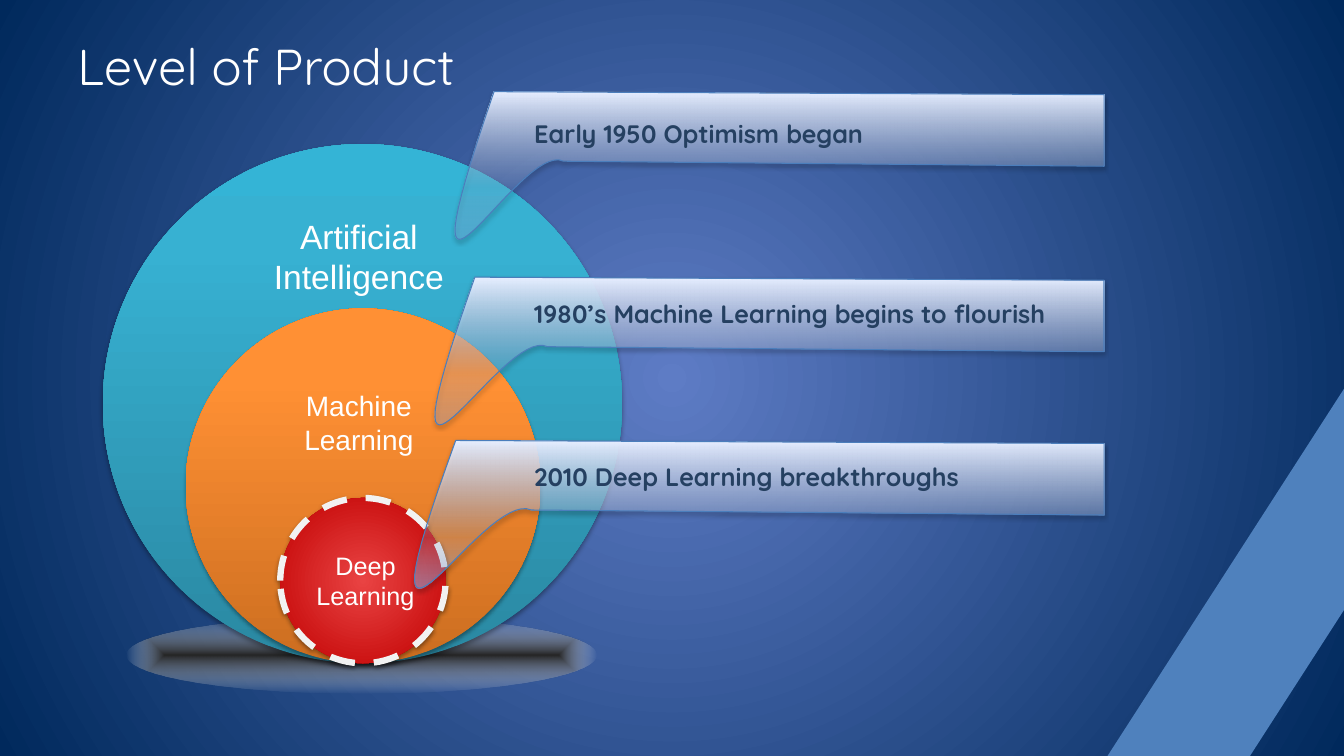
from typing import NamedTuple

from lxml.etree import SubElement
from pptx import Presentation
from pptx.dml.color import RGBColor
from pptx.enum.dml import MSO_LINE
from pptx.enum.shapes import MSO_SHAPE
from pptx.enum.text import MSO_ANCHOR, MSO_AUTO_SIZE, PP_ALIGN
from pptx.oxml.ns import qn
from pptx.util import Pt

EMU_PER_PX = 9144
CURVE_STEPS = 32

WHITE = RGBColor(0xFF, 0xFF, 0xFF)
BLACK = RGBColor(0x00, 0x00, 0x00)
CHARCOAL = RGBColor(0x26, 0x26, 0x26)
SKY = RGBColor(0x5E, 0x7C, 0xC5)
NAVY = RGBColor(0x00, 0x29, 0x5C)
DASH_GREY = RGBColor(0xF2, 0xF2, 0xF2)
CALLOUT_LINE = RGBColor(0x4B, 0x7E, 0xBC)
CALLOUT_LOW = RGBColor(0xA4, 0xC4, 0xFF)
CALLOUT_MID = RGBColor(0xBF, 0xD4, 0xFF)
CALLOUT_TOP = RGBColor(0xE6, 0xEE, 0xFF)
CALLOUT_TEXT = RGBColor(0x25, 0x40, 0x61)
BAND_BLUE = RGBColor(0x4F, 0x81, 0xBD)


class Box(NamedTuple):
    left: int
    top: int
    width: int
    height: int


class Stop(NamedTuple):
    position: int
    color: RGBColor
    opacity: int = 100


class Circle(NamedTuple):
    box: Box
    stops: list[Stop]
    path_kind: str | None
    shadow_opacity: int
    shadow_distance: float
    dashed: bool = False


class Label(NamedTuple):
    text: str
    box: Box
    size: int
    font: str = "Arial"
    color: RGBColor = WHITE
    bold: bool = False
    align: PP_ALIGN = PP_ALIGN.CENTER


class Callout(NamedTuple):
    text: str
    text_top: int
    left: int
    top: int
    neck: int
    first_control: int
    second_control: int
    low_opacity: int
    mid_opacity: int


CIRCLES = [
    Circle(Box(102, 143, 515, 515),
           [Stop(0, RGBColor(0x2A, 0x88, 0xA2)), Stop(80, RGBColor(0x37, 0xB1, 0xD2)),
            Stop(100, RGBColor(0x34, 0xB4, 0xD6))], None, 35, 1.8),
    Circle(Box(184, 306, 352, 352),
           [Stop(0, RGBColor(0xCC, 0x6E, 0x20)), Stop(80, RGBColor(0xFF, 0x90, 0x34)),
            Stop(100, RGBColor(0xFF, 0x91, 0x36))], None, 35, 1.8),
    Circle(Box(278, 494, 164, 164),
           [Stop(0, RGBColor(0xE9, 0x43, 0x43)), Stop(100, RGBColor(0xC0, 0x00, 0x00))],
           "circle", 38, 1.6, True),
]
TITLE = Label("Level of Product", Box(67, 17, 1200, 95), 36, "Quicksand", align=PP_ALIGN.LEFT)
LABELS = [
    Label("Artificial Intelligence", Box(238, 209, 236, 91), 24),
    Label("Machine Learning", Box(238, 381, 236, 77), 20),
    Label("Deep Learning", Box(274, 541, 177, 71), 18),
]
CALLOUTS = [
    Callout("Early 1950 Optimism began", 112, 490, 91, 559, 515, 388, 28, 15),
    Callout("1980’s Machine Learning begins to flourish", 291, 471, 275, 543, 498, 366, 29, 16),
    Callout("2010 Deep Learning breakthroughs", 453, 452, 437, 527, 479, 344, 49, 16),
]


def px(length: int) -> int:
    return length * EMU_PER_PX


def set_gradient(owner, fill, stops: list[Stop], path_kind: str | None = None) -> None:
    fill.solid()
    solid = next(owner.iter(qn("a:solidFill")))
    gradient = SubElement(solid.getparent(), qn("a:gradFill"), rotWithShape="1")
    stop_list = SubElement(gradient, qn("a:gsLst"))
    for stop in stops:
        entry = SubElement(stop_list, qn("a:gs"), pos=str(stop.position * 1000))
        color = SubElement(entry, qn("a:srgbClr"), val=str(stop.color))
        if stop.opacity < 100:
            SubElement(color, qn("a:alpha"), val=str(stop.opacity * 1000))
    if path_kind:
        path_element = SubElement(gradient, qn("a:path"), {"path": path_kind})
        SubElement(path_element, qn("a:fillToRect"), dict.fromkeys("ltrb", "50000"))
    else:
        SubElement(gradient, qn("a:lin"), ang="16200000", scaled="0")
    solid.getparent().replace(solid, gradient)


def set_shadow(shape, opacity: int, distance: float) -> None:
    shape.shadow.inherit = False
    effects = next(shape.element.iter(qn("a:effectLst")))
    shadow = SubElement(effects, qn("a:outerShdw"), blurRad=str(Pt(3.1)),
                        dist=str(Pt(distance)), dir="5400000", rotWithShape="0")
    color = SubElement(shadow, qn("a:srgbClr"), val=str(BLACK))
    SubElement(color, qn("a:alpha"), val=str(opacity * 1000))


def add_plain_shape(slide, kind: MSO_SHAPE, box: Box):
    shape = slide.shapes.add_shape(kind, *map(px, box))
    shape.shadow.inherit = False
    shape.line.fill.background()
    return shape


def add_circle(slide, circle: Circle) -> None:
    shape = add_plain_shape(slide, MSO_SHAPE.OVAL, circle.box)
    set_gradient(shape.element, shape.fill, circle.stops, circle.path_kind)
    if circle.dashed:
        shape.line.color.rgb = DASH_GREY
        shape.line.width = Pt(4.5)
        shape.line.dash_style = MSO_LINE.DASH
    set_shadow(shape, circle.shadow_opacity, circle.shadow_distance)


def add_label(slide, label: Label):
    shape = slide.shapes.add_textbox(*map(px, label.box))
    frame = shape.text_frame
    frame.word_wrap = True
    frame.auto_size = MSO_AUTO_SIZE.SHAPE_TO_FIT_TEXT
    paragraph = frame.paragraphs[0]
    paragraph.text = label.text
    paragraph.alignment = label.align
    font = paragraph.font
    font.name = label.font
    font.size = Pt(label.size)
    font.bold = label.bold
    font.color.rgb = label.color
    return frame


def bezier(controls: list[tuple[int, int]], t: float) -> tuple[int, int]:
    weights = ((1 - t) ** 3, 3 * t * (1 - t) ** 2, 3 * t ** 2 * (1 - t), t ** 3)
    x, y = (sum(w * v for w, v in zip(weights, axis)) for axis in zip(*controls))
    return round(x * EMU_PER_PX), round(y * EMU_PER_PX)


def add_callout(slide, callout: Callout) -> None:
    left, top = callout.left, callout.top
    tail = [(callout.neck, top + 69), (callout.first_control, top + 47),
            (callout.second_control, top + 297), (left, top)]
    corners = [(px(1095), px(top + 3)), (px(1095), px(top + 74))]
    curve = [bezier(tail, step / CURVE_STEPS) for step in range(CURVE_STEPS)]
    builder = slide.shapes.build_freeform(px(left), px(top))
    builder.add_line_segments(corners + curve, close=True)
    shape = builder.convert_to_shape()
    set_gradient(shape.element, shape.fill, [
        Stop(0, CALLOUT_LOW, callout.low_opacity),
        Stop(35, CALLOUT_MID, callout.mid_opacity), Stop(100, CALLOUT_TOP)])
    shape.line.color.rgb = CALLOUT_LINE
    shape.line.width = Pt(0.75)
    set_shadow(shape, 38, 1.6)


def main() -> None:
    presentation = Presentation()
    presentation.slide_width, presentation.slide_height = px(1333), px(750)
    slide = presentation.slides.add_slide(presentation.slide_layouts[6])
    set_gradient(slide.element, slide.background.fill, [Stop(0, SKY), Stop(100, NAVY)], "circle")

    floor = add_plain_shape(slide, MSO_SHAPE.OVAL, Box(126, 612, 466, 76))
    set_gradient(floor.element, floor.fill, [Stop(0, CHARCOAL), Stop(100, WHITE, 0)], "shape")
    title = add_label(slide, TITLE)
    title.auto_size = MSO_AUTO_SIZE.NONE
    title.vertical_anchor = MSO_ANCHOR.MIDDLE
    for circle in CIRCLES:
        add_circle(slide, circle)
    for label in LABELS:
        add_label(slide, label)
    for callout in CALLOUTS:
        add_callout(slide, callout)
    for callout in CALLOUTS:
        add_label(slide, Label(callout.text, Box(520, callout.text_top, 588, 40), 18,
                               "Quicksand", CALLOUT_TEXT, True, PP_ALIGN.LEFT))
    band = add_plain_shape(slide, MSO_SHAPE.PARALLELOGRAM, Box(1056, 175, 554, 641))
    band.adjustments[0] = 0.745
    band.fill.solid()
    band.fill.fore_color.rgb = BAND_BLUE
    presentation.save("out.pptx")


if __name__ == "__main__":
    main()
